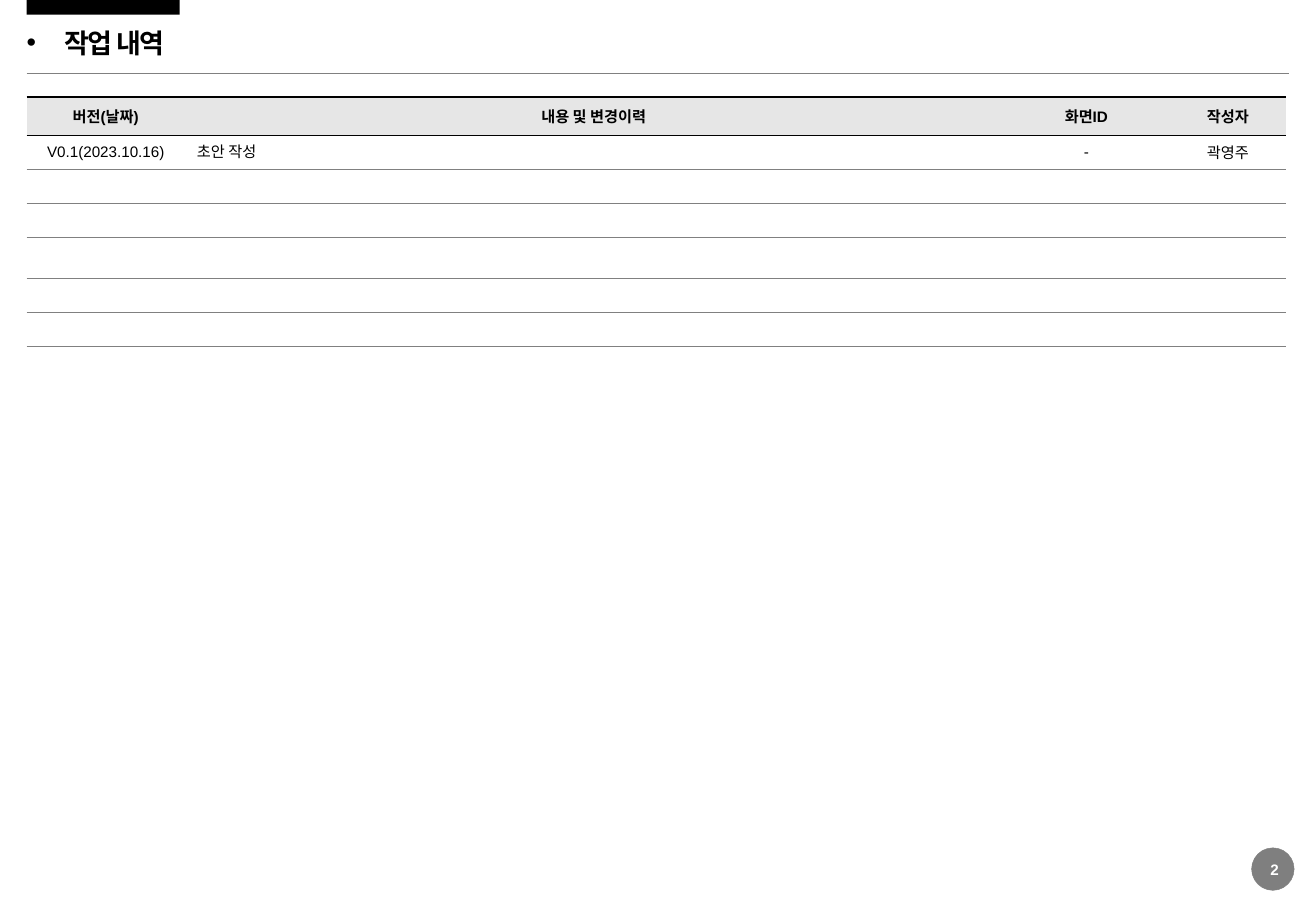
from lxml import etree
from pptx import Presentation
from pptx.dml.color import RGBColor
from pptx.enum.shapes import MSO_CONNECTOR, MSO_SHAPE
from pptx.enum.text import MSO_ANCHOR, PP_ALIGN
from pptx.oxml.ns import qn
from pptx.util import Inches, Pt

RECT, OVAL = MSO_SHAPE.RECTANGLE, MSO_SHAPE.OVAL
STRAIGHT = MSO_CONNECTOR.STRAIGHT
MIDDLE = MSO_ANCHOR.MIDDLE
LEFT, CENTER = PP_ALIGN.LEFT, PP_ALIGN.CENTER


def color(value):
    return RGBColor.from_string(value)


class Page:
    FONT, KOREAN = "Arial", "Noto Sans CJK KR"
    BLACK, WHITE, GRAY, HEADER = "000000", "FFFFFF", "808080", "E6E6E6"
    HAIRLINE = 0.25

    def __init__(self, prs):
        self.s = prs.slides.add_slide(prs.slide_layouts[6])

    def format(self, p, size, fill, bold=False, font=FONT):
        for r in p.runs:
            r.font.name = font
            r.font.size = Pt(size)
            r.font.bold = bold
            r.font.color.rgb = color(fill)
            ea = etree.Element(qn("a:ea"), typeface=self.KOREAN)
            r.font._rPr.find(qn("a:latin")).addnext(ea)

    def shape(self, kind, x, y, w, h, fill, line=None, alpha=None):
        sp = self.s.shapes.add_shape(kind, Inches(x), Inches(y), Inches(w), Inches(h))
        sp.shadow.inherit = False
        sp.fill.solid()
        sp.fill.fore_color.rgb = color(fill)
        if alpha:
            rgb = sp._element.spPr.find(qn("a:solidFill"))[0]
            etree.SubElement(rgb, qn("a:alpha"), val=str(alpha * 1000))
        if line:
            sp.line.color.rgb = color(line)
            sp.line.width = Pt(self.HAIRLINE)
        else:
            sp.line.fill.background()

    def rule(self, x1, x2, y):
        cx = self.s.shapes.add_connector(STRAIGHT, Inches(x1), Inches(y), Inches(x2), Inches(y))
        cx.line.color.rgb = color(self.GRAY)
        cx.line.width = Pt(self.HAIRLINE)
        etree.SubElement(cx._element.spPr, qn("a:effectLst"))

    def text(self, x, y, w, h, text, size, fill, align=LEFT, font=FONT):
        tf = self.s.shapes.add_textbox(Inches(x), Inches(y), Inches(w), Inches(h)).text_frame
        tf.margin_left = tf.margin_right = tf.margin_top = tf.margin_bottom = 0
        tf.vertical_anchor = MIDDLE
        tf.word_wrap = True
        p = tf.paragraphs[0]
        p.text = text
        p.alignment = align
        self.format(p, size, fill, True, font)
        return p

    def title(self, x, y, w, h, text):
        p = self.text(x, y, w, h, text, 16, self.BLACK, font=self.KOREAN)
        p.line_spacing = 0.9
        p.space_before = Pt(8.1)
        p.runs[0].font._rPr.set("spc", "-70")
        pPr = p._p.get_or_add_pPr()
        pPr.set("marL", str(Inches(0.31)))
        pPr.set("indent", str(-Inches(0.31)))
        etree.SubElement(pPr, qn("a:buFont"), typeface=self.FONT)
        etree.SubElement(pPr, qn("a:buChar"), char="•")

    def borders(self, cell, top, bottom):
        tcPr = cell._tc.get_or_add_tcPr()
        edges = {"lnL": None, "lnR": None, "lnT": top, "lnB": bottom}
        for i, (tag, edge) in enumerate(edges.items()):
            ln = etree.Element(qn("a:" + tag))
            if edge:
                ln.set("w", str(Pt(edge[1])))
                solid = etree.SubElement(ln, qn("a:solidFill"))
                etree.SubElement(solid, qn("a:srgbClr"), val=edge[0])
            else:
                etree.SubElement(ln, qn("a:noFill"))
            tcPr.insert(i, ln)

    def table(self, x, y, widths, heights, rows):
        table = self.s.shapes.add_table(len(heights), len(widths), Inches(x), Inches(y),
                                        Inches(sum(widths)), Inches(sum(heights))).table
        table.first_row = table.horz_banding = False
        for column, w in zip(table.columns, widths):
            column.width = Inches(w)
        thick, dark, light = (self.BLACK, 1), (self.BLACK, self.HAIRLINE), (self.GRAY, self.HAIRLINE)
        edges = [thick, dark] + [light] * (len(heights) - 1)
        for i, h in enumerate(heights):
            table.rows[i].height = Inches(h)
            for j in range(len(widths)):
                cell = table.cell(i, j)
                cell.fill.solid()
                cell.fill.fore_color.rgb = color(self.WHITE if i else self.HEADER)
                cell.vertical_anchor = MIDDLE
                self.borders(cell, edges[i], edges[i + 1])
                p = cell.text_frame.paragraphs[0]
                if i < len(rows):
                    p.text = rows[i][j]
                    p.alignment = LEFT if i and j == 1 else CENTER
                    self.format(p, 9, self.BLACK, bold=i == 0)
                    if p.alignment == LEFT:
                        p.line_spacing = Pt(12)
                else:
                    # Small type keeps the empty rows low
                    etree.SubElement(p._p, qn("a:endParaRPr"), sz="900")


def main():
    prs = Presentation()
    prs.slide_width, prs.slide_height = Inches(10.83), Inches(7.5)
    page = Page(prs)

    # Header
    page.shape(RECT, 0.22, 0, 1.26, 0.12, page.BLACK)
    page.rule(0.22, 10.61, 0.6)
    page.title(0.22, 0.21, 6.5, 0.31, "작업 내역")

    # Revision history
    page.table(0.22, 0.8, [1.3, 6.73, 1.38, 0.95],
               [0.31, 0.28, 0.28, 0.28, 0.34, 0.28, 0.28],
               [["버전(날짜)", "내용 및 변경이력", "화면ID", "작성자"],
                ["V0.1(2023.10.16)", "초안 작성", "-", "곽영주"]])

    # Page number
    page.shape(OVAL, 10.3, 6.98, 0.35, 0.35, page.BLACK, page.GRAY, alpha=50)
    page.text(10.41, 7.08, 0.16, 0.15, "2", 9, page.WHITE, CENTER)

    prs.save("out.pptx")


if __name__ == "__main__":
    main()
